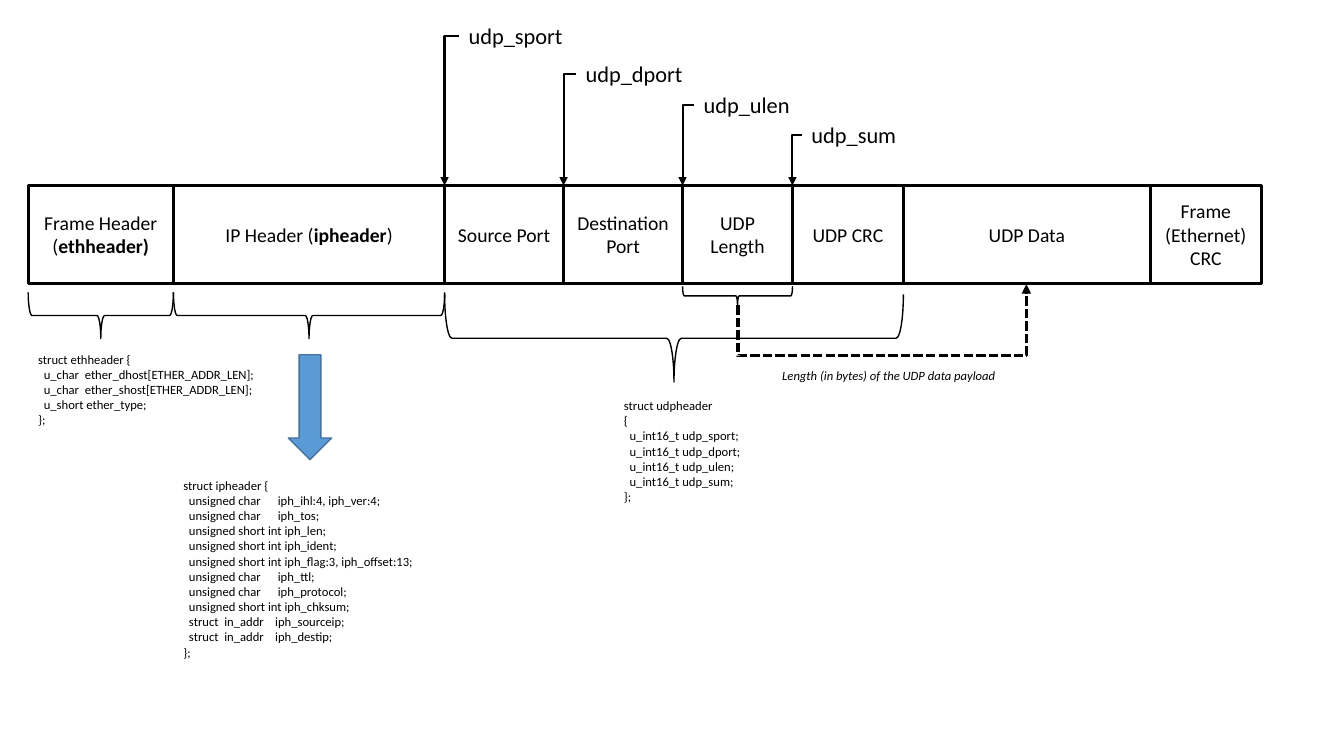
from dataclasses import dataclass

from lxml import etree
from pptx import Presentation
from pptx.dml.color import RGBColor
from pptx.enum import dml, shapes, text
from pptx.oxml import ns
from pptx.shapes.autoshape import Shape
from pptx.shapes.connector import Connector
from pptx.slide import Slide
from pptx.util import Inches, Pt

BLACK = RGBColor(0x00, 0x00, 0x00)
WHITE = RGBColor(0xFF, 0xFF, 0xFF)
BLUE = RGBColor(0x5B, 0x9B, 0xD5)
DARK_BLUE = RGBColor(0x43, 0x73, 0x9E)
FONT = "Calibri"
PACKET_TOP = 1.84
PACKET_HEIGHT = 0.97
LABEL_HEIGHT = 0.37


@dataclass(frozen=True)
class Field:
    left: float
    right: float
    name: str
    struct: str = ""
    closing: str = ""


@dataclass(frozen=True)
class Brace:
    first: Field
    last: Field
    top: float
    depth: float


@dataclass(frozen=True)
class Note:
    left: float
    top: float
    width: float
    height: float
    wording: str
    size: float = 9
    italic: bool = False


@dataclass(frozen=True)
class Pointer:
    field: Field
    left: float
    top: float
    member: str


def format_text(shape: Shape, size: float, italic: bool = False) -> None:
    for paragraph in shape.text_frame.paragraphs:
        for run in paragraph.runs:
            run.font.name = FONT
            run.font.size = Pt(size)
            run.font.color.rgb = BLACK
            if italic:
                run.font.italic = True


def style_shape(shape: Shape, fill: RGBColor | None, line: RGBColor, width: float) -> None:
    shape.shadow.inherit = False
    if fill is None:
        shape.fill.background()
    else:
        shape.fill.solid()
        shape.fill.fore_color.rgb = fill
    shape.line.color.rgb = line
    shape.line.width = Pt(width)


def draw_field(slide: Slide, field: Field) -> None:
    cell = slide.shapes.add_shape(
        shapes.MSO_SHAPE.RECTANGLE, Inches(field.left), Inches(PACKET_TOP),
        Inches(field.right - field.left), Inches(PACKET_HEIGHT))
    style_shape(cell, WHITE, BLACK, 2.25)
    cell.text_frame.word_wrap = True
    cell.text_frame.vertical_anchor = text.MSO_ANCHOR.MIDDLE
    paragraph = cell.text_frame.paragraphs[0]
    paragraph.text = field.name
    paragraph.alignment = text.PP_ALIGN.CENTER
    for part, bold in ((field.struct, True), (field.closing, False)):
        if part:
            run = paragraph.add_run()
            run.text = part
            run.font.bold = bold
    format_text(cell, 14)


def draw_brace(slide: Slide, brace: Brace) -> None:
    span = brace.last.right - brace.first.left
    centre_x = brace.first.left + span / 2
    centre_y = brace.top + brace.depth / 2
    shape = slide.shapes.add_shape(
        shapes.MSO_SHAPE.LEFT_BRACE, Inches(centre_x - brace.depth / 2),
        Inches(centre_y - span / 2), Inches(brace.depth), Inches(span))
    shape.rotation = 270
    style_shape(shape, None, BLACK, 1)


def draw_note(slide: Slide, note: Note) -> None:
    box = slide.shapes.add_textbox(
        Inches(note.left), Inches(note.top), Inches(note.width), Inches(note.height))
    box.text_frame.word_wrap = True
    box.text_frame.auto_size = text.MSO_AUTO_SIZE.SHAPE_TO_FIT_TEXT
    box.text_frame.text = note.wording
    format_text(box, note.size, note.italic)


def draw_elbow(slide: Slide, start: tuple[float, float], end: tuple[float, float],
               width: float, dash: dml.MSO_LINE | None = None) -> Connector:
    elbow = slide.shapes.add_connector(
        shapes.MSO_CONNECTOR.ELBOW, *(Inches(value) for value in start + end))
    elbow.line.color.rgb = BLACK
    elbow.line.width = Pt(width)
    if dash is not None:
        elbow.line.dash_style = dash
    properties = elbow._element.spPr
    etree.SubElement(properties.find(ns.qn("a:ln")), ns.qn("a:tailEnd"), type="triangle")
    etree.SubElement(properties, ns.qn("a:effectLst"))
    return elbow


def draw_pointer(slide: Slide, pointer: Pointer) -> None:
    draw_note(slide, Note(pointer.left, pointer.top, 1.18, LABEL_HEIGHT, pointer.member, 16))
    elbow = draw_elbow(slide, (pointer.left, pointer.top + LABEL_HEIGHT / 2),
                       (pointer.field.left, PACKET_TOP), 1.5)
    elbow._element.spPr.find(ns.qn("a:prstGeom")).set("prst", "bentConnector2")


def draw_payload_link(slide: Slide, start: tuple[float, float],
                      end: tuple[float, float], bend: int) -> None:
    centre_x, centre_y = (start[0] + end[0]) / 2, (start[1] + end[1]) / 2
    half_span, half_rise = (end[0] - start[0]) / 2, (start[1] - end[1]) / 2
    elbow = draw_elbow(slide, (centre_x + half_rise, centre_y + half_span),
                       (centre_x - half_rise, centre_y - half_span),
                       2.25, dml.MSO_LINE.SQUARE_DOT)
    properties = elbow._element.spPr
    properties.find(ns.qn("a:xfrm")).set("rot", "5400000")
    guides = properties.find(ns.qn("a:prstGeom")).find(ns.qn("a:avLst"))
    etree.SubElement(guides, ns.qn("a:gd"), name="adj1", fmla=f"val {bend}")


FRAME = Field(0.28, 1.72, "Frame Header (", "ethheader)")
IP = Field(1.72, 4.41, "IP Header (", "ipheader", ")")
SOURCE = Field(4.41, 5.59, "Source Port")
DESTINATION = Field(5.59, 6.77, "Destination Port")
LENGTH = Field(6.77, 7.86, "UDP Length")
CHECKSUM = Field(7.86, 8.96, "UDP CRC")
DATA = Field(8.96, 11.41, "UDP Data")
TRAILER = Field(11.41, 12.51, "Frame (Ethernet) CRC")
FIELDS = (FRAME, IP, SOURCE, DESTINATION, LENGTH, CHECKSUM, DATA, TRAILER)

BRACES = (Brace(FRAME, FRAME, 2.9, 0.46), Brace(IP, IP, 2.9, 0.46),
          Brace(SOURCE, CHECKSUM, 2.92, 0.87), Brace(LENGTH, LENGTH, 2.84, 0.19))

POINTERS = (Pointer(SOURCE, 4.55, 0.17, "udp_sport"),
            Pointer(DESTINATION, 5.71, 0.55, "udp_dport"),
            Pointer(LENGTH, 6.88, 0.86, "udp_ulen"),
            Pointer(CHECKSUM, 7.95, 1.15, "udp_sum"))

ETHHEADER = """struct ethheader {
  u_char  ether_dhost[ETHER_ADDR_LEN];
  u_char  ether_shost[ETHER_ADDR_LEN];
  u_short ether_type;
};"""
IPHEADER = """struct ipheader {
  unsigned char      iph_ihl:4, iph_ver:4;
  unsigned char      iph_tos;
  unsigned short int iph_len;
  unsigned short int iph_ident;
  unsigned short int iph_flag:3, iph_offset:13;
  unsigned char      iph_ttl;
  unsigned char      iph_protocol;
  unsigned short int iph_chksum;
  struct  in_addr    iph_sourceip;
  struct  in_addr    iph_destip;
};"""
UDPHEADER = "\n".join(
    ["struct udpheader", "{"] + [f"  u_int16_t {pointer.member};" for pointer in POINTERS] + ["};"])
NOTES = (Note(0.28, 3.44, 2.47, 0.86, ETHHEADER), Note(1.72, 4.69, 3.03, 1.92, IPHEADER),
         Note(6.09, 3.9, 1.57, 1.16, UDPHEADER),
         Note(7.66, 3.6, 2.53, 0.25, "Length (in bytes) of the UDP data payload", italic=True))

deck = Presentation()
deck.slide_width, deck.slide_height = Inches(13.33), Inches(7.5)
packet = deck.slides.add_slide(deck.slide_layouts[6])
for draw, parts in ((draw_field, FIELDS), (draw_brace, BRACES),
                    (draw_note, NOTES), (draw_pointer, POINTERS)):
    for part in parts:
        draw(packet, part)
ip_arrow = packet.shapes.add_shape(
    shapes.MSO_SHAPE.DOWN_ARROW, Inches(2.86), Inches(3.52), Inches(0.43), Inches(1.04))
style_shape(ip_arrow, BLUE, DARK_BLUE, 1)
draw_payload_link(packet, (7.32, 3.03), (10.18, 2.82), -238200)
deck.save("out.pptx")
